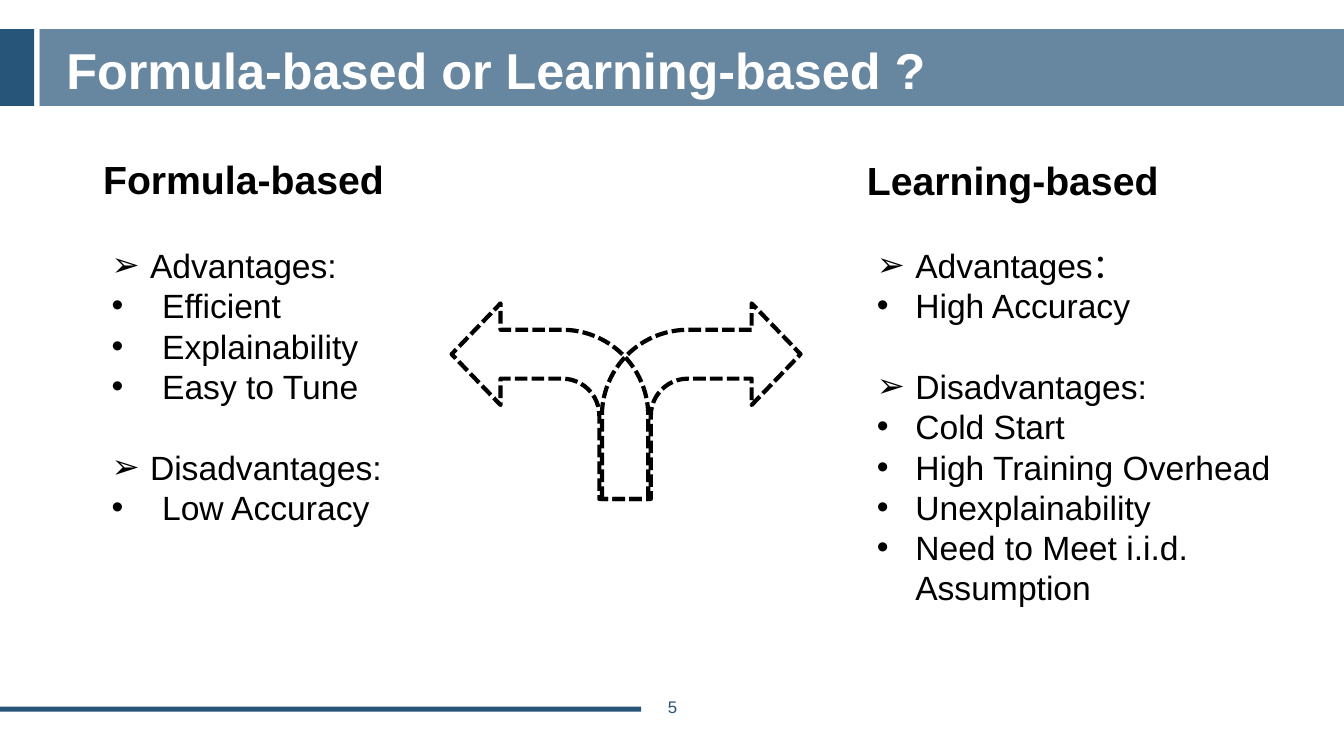
import pptx
import pptx.dml.color
import pptx.enum.dml
import pptx.enum.shapes
import pptx.enum.text
import pptx.oxml.ns
import pptx.oxml.xmlchemy
import pptx.util
from pptx.util import Inches

NAVY = "275479"
BLACK = "000000"
WHITE = "FFFFFF"
FONT = "Arial"
LINE_PITCH = 28.8
CENTER = pptx.enum.text.PP_ALIGN.CENTER
MIDDLE = pptx.enum.text.MSO_ANCHOR.MIDDLE


def rgb(value):
    return pptx.dml.color.RGBColor.from_string(value)


def append_node(parent, tag, key, value):
    node = pptx.oxml.xmlchemy.OxmlElement(tag)
    node.set(key, value)
    parent.append(node)


def style(paragraph, size, color=BLACK, bold=False):
    font = paragraph.font
    font.name = FONT
    font.size = pptx.util.Pt(size)
    font.bold = bold
    font.color.rgb = rgb(color)


def add_text_frame(slide, left, top, width, height):
    box = slide.shapes.add_textbox(Inches(left), Inches(top), Inches(width), Inches(height))
    box.text_frame.word_wrap = True
    return box.text_frame


def add_text(slide, text, left, top, width, height, *, size, color=BLACK,
             bold=False, align=None, anchor=None, spacing=None):
    frame = add_text_frame(slide, left, top, width, height)
    frame.vertical_anchor = anchor
    paragraph = frame.paragraphs[0]
    paragraph.text = text
    paragraph.alignment = align
    paragraph.line_spacing = spacing
    style(paragraph, size, color, bold)


def add_bar(slide, left, top, width, height, color, opacity=100):
    bar = slide.shapes.add_shape(pptx.enum.shapes.MSO_SHAPE.RECTANGLE,
                                 Inches(left), Inches(top), Inches(width), Inches(height))
    bar.shadow.inherit = False
    bar.fill.solid()
    bar.fill.fore_color.rgb = rgb(color)
    bar.line.fill.background()
    if opacity < 100:
        fill_color = bar._element.spPr.find(".//" + pptx.oxml.ns.qn("a:srgbClr"))
        append_node(fill_color, "a:alpha", "val", str(opacity * 1000))


def add_bent_arrow(slide, left, width, flipped=False):
    arrow = slide.shapes.add_shape(pptx.enum.shapes.MSO_SHAPE.BENT_ARROW,
                                   Inches(left), Inches(3.01), Inches(width), Inches(1.94))
    for index, ratio in enumerate((0.25, 0.26, 0.25, 0.44)):
        arrow.adjustments[index] = ratio
    arrow.shadow.inherit = False
    arrow.fill.background()
    arrow.line.color.rgb = rgb(BLACK)
    arrow.line.width = pptx.util.Pt(3)
    arrow.line.dash_style = pptx.enum.dml.MSO_LINE.SQUARE_DOT
    if flipped:
        arrow._element.spPr.find(pptx.oxml.ns.qn("a:xfrm")).set("flipH", "1")


def add_bullet(paragraph, symbol, indent):
    properties = paragraph._p.get_or_add_pPr()
    properties.set("marL", str(Inches(indent)))
    properties.set("indent", str(-Inches(indent)))
    append_node(properties, "a:buFont", "typeface", FONT)
    append_node(properties, "a:buChar", "char", symbol)


def add_pros_and_cons(slide, sections, left, width, height, item_indent):
    """Write each section as an arrow-marked label followed by its dotted items."""
    frame = add_text_frame(slide, left, 2.38, width, height)
    paragraph = frame.paragraphs[0]
    for number, (label, items) in enumerate(sections):
        lines = [(label, "➢", 0.38)] + [(item, "•", item_indent) for item in items]
        for row, (text, symbol, indent) in enumerate(lines):
            if number or row:
                paragraph = frame.add_paragraph()
            paragraph.text = text
            add_bullet(paragraph, symbol, indent)
            paragraph.line_spacing = pptx.util.Pt(LINE_PITCH)
            if number and row == 0:
                paragraph.space_before = pptx.util.Pt(LINE_PITCH)
            style(paragraph, 24)


def main():
    deck = pptx.Presentation()
    deck.slide_width = Inches(13.33)
    deck.slide_height = Inches(7.5)
    slide = deck.slides.add_slide(deck.slide_layouts[6])

    add_bar(slide, 0.39, 0.29, 12.94, 0.76, NAVY, opacity=70)
    add_bar(slide, 0, 0.29, 0.39, 0.76, WHITE)
    add_bar(slide, 0, 0.29, 0.34, 0.76, NAVY)
    add_bar(slide, 0, 7.01, 6.36, 0.05, NAVY)
    add_text(slide, "5", 6.36, 6.81, 0.62, 0.4, size=12, color=NAVY,
             align=CENTER, anchor=MIDDLE)
    add_text(slide, "Formula-based or Learning-based ?", 0.56, 0.4, 8.95, 0.65,
             size=36, color=WHITE, bold=True, anchor=MIDDLE, spacing=0.9)

    add_bent_arrow(slide, 5.97, 1.97)
    add_bent_arrow(slide, 4.48, 1.95, flipped=True)

    formula_sections = [
        ("Advantages:", ["Efficient", "Explainability", "Easy to Tune"]),
        ("Disadvantages:", ["Low Accuracy"]),
    ]
    learning_sections = [
        ("Advantages：", ["High Accuracy"]),
        ("Disadvantages:", ["Cold Start", "High Training Overhead", "Unexplainability",
                            "Need to Meet i.i.d. Assumption"]),
    ]
    add_pros_and_cons(slide, formula_sections, 1.01, 3.07, 3.33, item_indent=0.5)
    add_text(slide, "Formula-based", 0.65, 1.49, 3.53, 0.57, size=28, bold=True, align=CENTER)
    add_pros_and_cons(slide, learning_sections, 8.6, 4.47, 3.74, item_indent=0.38)
    add_text(slide, "Learning-based", 8.28, 1.5, 3.53, 0.57, size=28, bold=True, align=CENTER)

    deck.save("out.pptx")


if __name__ == "__main__":
    main()
